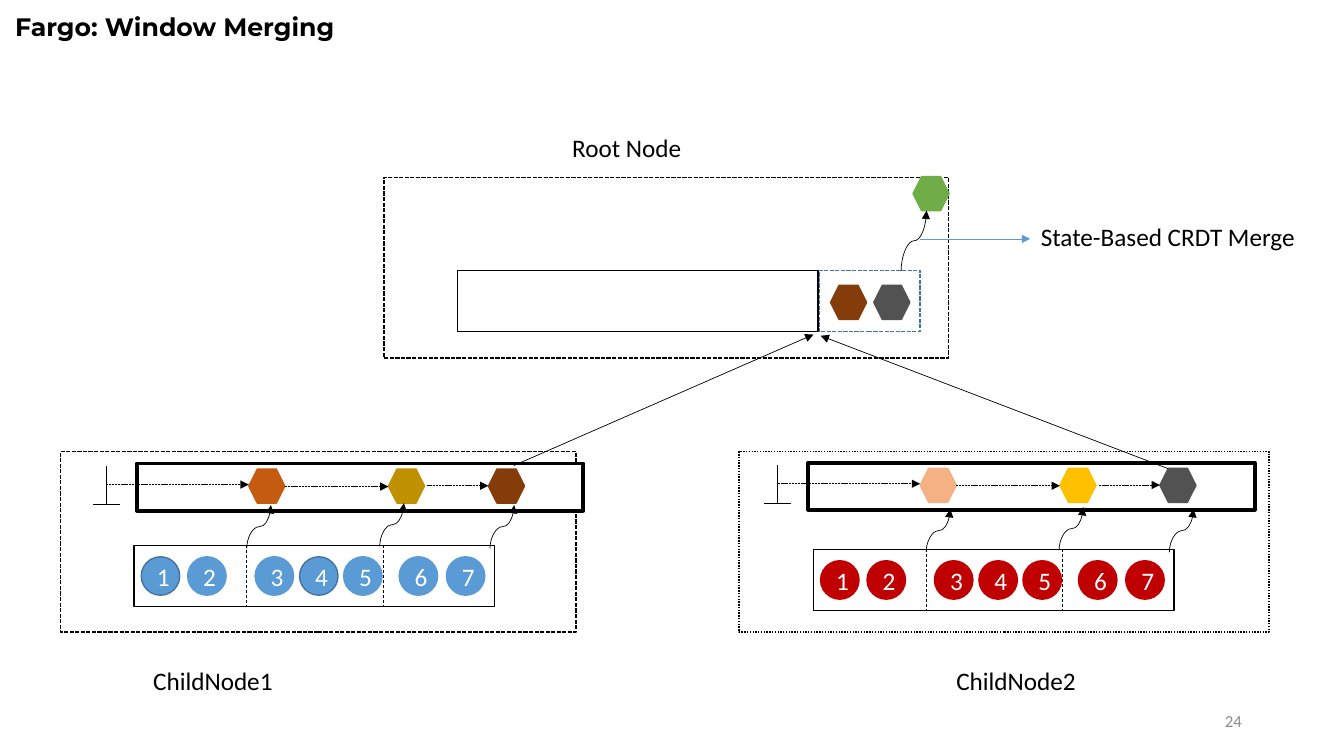
from pptx import Presentation
from pptx import util as u
from pptx.dml import color
from pptx.enum import dml, shapes, text
from pptx.oxml import ns
from lxml import etree

Cm, Pt = u.Cm, u.Pt
COLORS = {
    "black": "000000", "white": "FFFFFF", "grey": "8C8C8C",
    "blue": "5B9BD5", "navy": "43739E", "red": "C00000",
    "rust": "C55A11", "ochre": "BF9000", "brown": "843C0B",
    "peach": "F4B183", "amber": "FFC000", "slate": "525252", "green": "70AD47",
}
DASHES = dml.MSO_LINE_DASH_STYLE
DASH, SYS_DASH, SYS_DOT = DASHES.DASH, DASHES.SQUARE_DOT, DASHES.ROUND_DOT
PRESETS = shapes.MSO_SHAPE
ALIGN = text.PP_ALIGN

QUEUE_SIZE = (9.09, 1.55)
BAR_SIZE = (11.25, 1.19)
EVENT_OFFSETS = (0.18, 1.35, 3.05, 4.17, 5.28, 6.68, 7.87)
HEXAGON_OFFSETS = (2.82, 6.34, 8.86)


def rgb(name):
    return color.RGBColor.from_string(COLORS[name])


def style_line(line, name, width, dash=None):
    line.color.rgb = rgb(name)
    line.width = Pt(width)
    if dash is not None:
        line.dash_style = dash


def write(frame, words, align, **values):
    para = frame.paragraphs[0]
    para.alignment = align
    span = para.add_run()
    span.text = words
    formats = {"name": "Calibri", "size": Pt(18), "bold": False} | values
    span.font.color.rgb = rgb(formats.pop("color", "black"))
    for key, value in formats.items():
        setattr(span.font, key, value)


def add_label(page, box, words, align=ALIGN.LEFT,
              anchor=text.MSO_ANCHOR.TOP, **values):
    frame = page.shapes.add_textbox(*map(Cm, box)).text_frame
    frame.word_wrap = True
    frame.vertical_anchor = anchor
    write(frame, words, align, **values)


def add_figure(page, preset, box, fill, line, width=1, dash=None):
    figure = page.shapes.add_shape(preset, *map(Cm, box))
    figure.shadow.inherit = False
    if fill:
        figure.fill.solid()
        figure.fill.fore_color.rgb = rgb(fill)
    else:
        figure.fill.background()
    style_line(figure.line, line, width, dash)
    return figure


def add_hexagon(page, x, y, name):
    add_figure(page, PRESETS.HEXAGON, (x, y, 0.91, 0.86), name, name)


def add_line(page, start, end, dash=None, arrow=False, name="black",
             kind=shapes.MSO_CONNECTOR.STRAIGHT):
    link = page.shapes.add_connector(kind, *map(Cm, (*start, *end)))
    style_line(link.line, name, 0.5, dash)
    if arrow:
        outline = link.line._get_or_add_ln()
        etree.SubElement(outline, ns.qn("a:tailEnd"), type="triangle")
    etree.SubElement(link._element.spPr, ns.qn("a:effectLst"))
    return link


def add_rising_curve(page, x, y, run, rise):
    """S-curve from (x, y) up to the right: a flat curve turned by 90 degrees."""
    mid_x, mid_y = x + run / 2, y - rise / 2
    curve = add_line(page, (mid_x + rise / 2, mid_y + run / 2),
                     (mid_x - rise / 2, mid_y - run / 2),
                     arrow=True, kind=shapes.MSO_CONNECTOR.CURVE)
    curve._element.spPr.find(ns.qn("a:xfrm")).set("rot", "5400000")


def add_event_queue(page, x, y, fill, outlined):
    width, height = QUEUE_SIZE
    add_figure(page, PRESETS.RECTANGLE, (x, y, width, height), "white", "black")
    for offset in (2.84, 6.27):
        add_line(page, (x + offset, y), (x + offset, y + height), DASH)
    for number, offset in enumerate(EVENT_OFFSETS, 1):
        event = add_figure(page, PRESETS.OVAL, (x + offset, y + 0.29, 0.97, 0.97),
                           fill, "navy" if number in outlined else fill)
        event.text_frame.vertical_anchor = text.MSO_ANCHOR.MIDDLE
        write(event.text_frame, str(number), ALIGN.CENTER, color="white")


def add_slice_chain(page, x, y, hexagons):
    add_figure(page, PRESETS.RECTANGLE, (x, y, *BAR_SIZE), "white", "black", 2.75)
    # End mark of the chain
    mark = x - 0.77
    add_line(page, (mark, y + 0.06), (mark, y + 1.03))
    add_line(page, (mark - 0.34, y + 1.03), (mark + 0.34, y + 1.03))
    # Partial results and the arrows that lead to them
    starts = (-0.77, 3.73, 7.32)
    for offset, start, drop, name in zip(HEXAGON_OFFSETS, starts,
                                         (0.53, 0.58, 0.56), hexagons):
        add_hexagon(page, x + offset, y + 0.14, name)
        add_line(page, (x + start, y + drop), (x + offset, y + drop),
                 SYS_DASH, arrow=True)


def add_child_node(page, box, dash, queue_at, bar_at, fill, outlined, hexagons):
    left, top = box[:2]
    queue_x, queue_y = left + queue_at[0], top + queue_at[1]
    add_event_queue(page, queue_x, queue_y, fill, outlined)
    add_figure(page, PRESETS.RECTANGLE, box, None, "black", dash=dash)
    add_slice_chain(page, left + bar_at[0], top + bar_at[1], hexagons)
    for offset, drop in ((2.84, 0.08), (6.19, 0.03), (8.97, 0.08)):
        add_rising_curve(page, queue_x + offset, queue_y + drop, 0.61, 1.09)


def add_root_node(page, box):
    left, top = box[:2]
    add_figure(page, PRESETS.RECTANGLE, (left + 1.85, top + 2.34, *QUEUE_SIZE),
               "white", "black")
    add_figure(page, PRESETS.RECTANGLE, box, None, "black", dash=SYS_DASH)
    # Slot where the children's results meet
    add_figure(page, PRESETS.RECTANGLE, (left + 10.97, top + 2.34, 2.54, 1.55),
               None, "navy", dash=SYS_DASH)
    for x, y, name in ((11.25, 2.72, "brown"), (12.34, 2.72, "slate"),
                       (13.33, -0.02, "green")):
        add_hexagon(page, left + x, top + y, name)
    add_rising_curve(page, left + 13.03, top + 2.36, 0.64, 1.52)
    # Merge callout
    add_line(page, (left + 13.51, top + 1.55), (left + 16.28, top + 1.55),
             arrow=True, name="blue")
    add_label(page, (left + 16.3, top + 0.97, 7.3, 1.02), "State-Based CRDT Merge")


def add_labels(page):
    add_label(page, (0.13, 0.15, 16.76, 2.57), "Fargo: Window Merging",
              name="Montserrat", bold=True)
    add_label(page, (14.17, 3.2, 3.6, 1.02), "Root Node")
    for x, words in ((3.61, "ChildNode1"), (23.85, "ChildNode2")):
        add_label(page, (x, 16.64, 3.8, 1.02), words)
    add_label(page, (23.93, 17.65, 7.62, 1.02), "24", ALIGN.RIGHT,
              text.MSO_ANCHOR.MIDDLE, size=Pt(12), color="grey")


def main():
    deck = Presentation()
    deck.slide_width, deck.slide_height = Cm(33.87), Cm(19.05)
    page = deck.slides.add_slide(deck.slide_layouts[6])
    add_child_node(page, (18.62, 11.38, 13.36, 4.55), SYS_DOT, (1.88, 2.46),
                   (1.75, 0.28), "red", (), ("peach", "amber", "slate"))
    add_child_node(page, (1.52, 11.38, 13, 4.55), SYS_DASH, (1.86, 2.36),
                   (1.93, 0.3), "blue", (1, 4), ("rust", "ochre", "brown"))
    add_root_node(page, (9.68, 4.47, 14.22, 4.55))
    # Results sent from the children to the root
    add_line(page, (12.95, 11.73), (20.5, 8.43), arrow=True)
    add_line(page, (29.44, 11.81), (20.68, 8.46), arrow=True)
    add_labels(page)
    deck.save("out.pptx")


if __name__ == "__main__":
    main()
